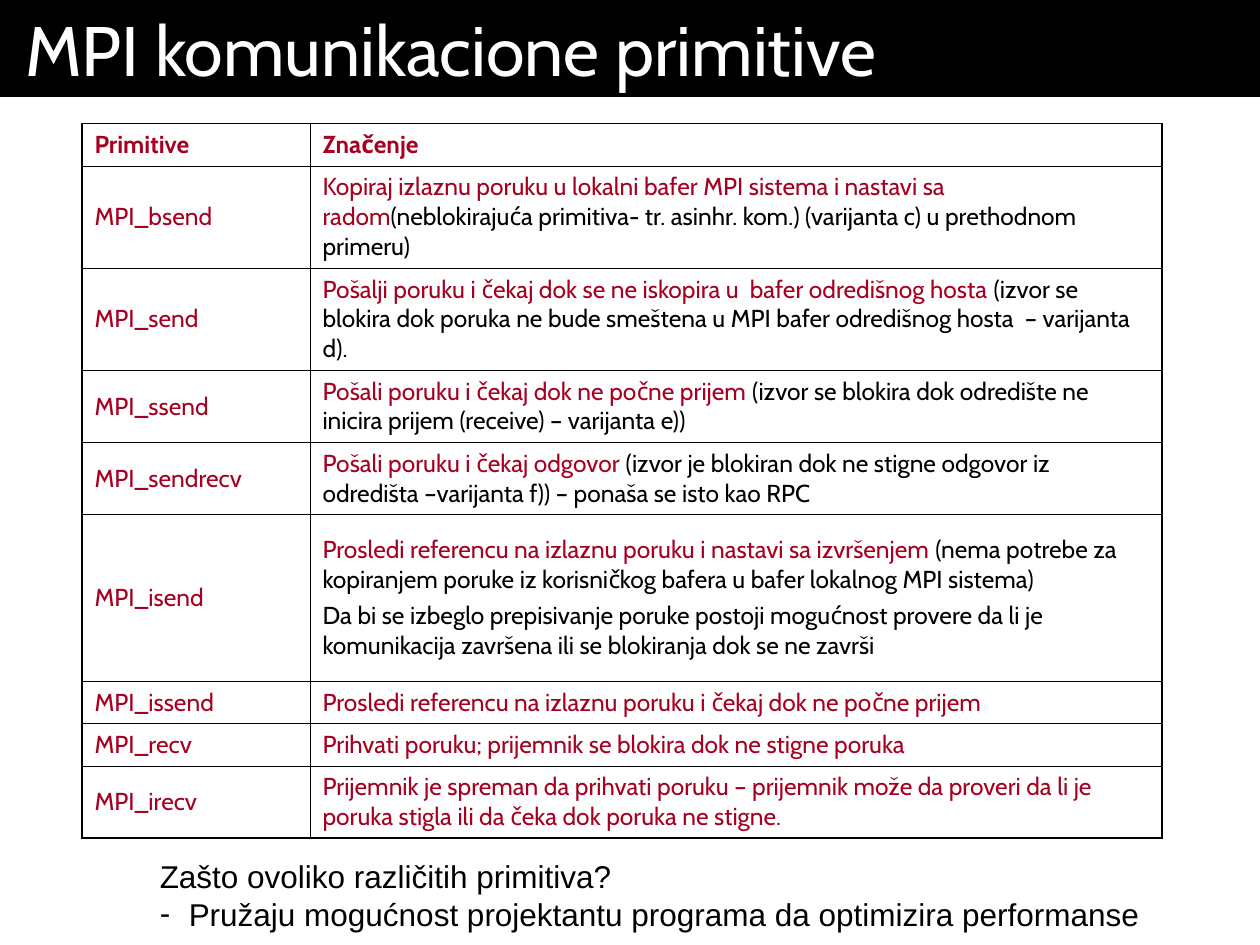
"""Builds a slide with a table of MPI communication primitives."""
from lxml.etree import SubElement
from pptx import Presentation
from pptx.dml.color import RGBColor
from pptx.enum.text import MSO_ANCHOR, PP_ALIGN
from pptx.oxml.ns import qn
from pptx.util import Inches, Pt

COLORS = {"black": "000000", "white": "FFFFFF", "red": "A50021"}
COLUMN_WIDTHS = (1.81, 6.76)
ROW_HEIGHTS = (0.33, 0.8, 0.8, 0.57, 0.57, 1.32, 0.33, 0.33, 0.57)
PRIMITIVES = [
    ("Primitive", [[("Značenje", "red")]]),
    ("MPI_bsend", [[
        ("Kopiraj izlaznu poruku u lokalni bafer MPI sistema i nastavi sa radom", "red"),
        ("(neblokirajuća primitiva- tr. asinhr. kom.) (varijanta c) u prethodnom primeru)", "black")]]),
    ("MPI_send", [[
        ("Pošalji poruku i čekaj dok se ne iskopira u  bafer odredišnog hosta ", "red"),
        ("(izvor se blokira dok poruka ne bude smeštena u MPI bafer odredišnog hosta  – varijanta d).", "black")]]),
    ("MPI_ssend", [[
        ("Pošali poruku i čekaj dok ne počne prijem ", "red"),
        ("(izvor se blokira dok odredište ne inicira prijem (receive) – varijanta e))", "black")]]),
    ("MPI_sendrecv", [[
        ("Pošali poruku i čekaj odgovor ", "red"),
        ("(izvor je blokiran dok ne stigne odgovor iz odredišta –varijanta f)) – ponaša se isto kao RPC", "black")]]),
    ("MPI_isend", [
        [("Prosledi referencu na izlaznu poruku i nastavi sa izvršenjem ", "red"),
         ("(nema potrebe za kopiranjem poruke iz korisničkog bafera u bafer lokalnog MPI sistema)", "black")],
        [("Da bi se izbeglo prepisivanje poruke postoji mogućnost provere da li je "
          "komunikacija završena ili se blokiranja dok se ne završi", "black")]]),
    ("MPI_issend", [[("Prosledi referencu na izlaznu poruku i čekaj dok ne počne prijem", "red")]]),
    ("MPI_recv", [[("Prihvati poruku; prijemnik se blokira dok ne stigne poruka", "red")]]),
    ("MPI_irecv", [[
        ("Prijemnik je spreman da prihvati poruku – prijemnik može da proveri da li je "
         "poruka stigla ili da čeka dok poruka ne stigne.", "red")]]),
]


def add_text(paragraph, text, font="Cabin", size=14, color="black", bold=False):
    """Add a formatted run to a paragraph."""
    run = paragraph.add_run()
    run.text = text
    run.font.name = font
    run.font.size = Pt(size)
    run.font.bold = bold
    run.font.color.rgb = RGBColor.from_string(COLORS[color])


def set_borders(cell, widths):
    """Draw the left, right, top and bottom borders of a cell."""
    properties = cell._tc.get_or_add_tcPr()
    for side, width in zip("LRTB", widths):
        line = SubElement(properties, qn(f"a:ln{side}"), w=str(Pt(width)))
        fill = SubElement(line, qn("a:solidFill"))
        SubElement(fill, qn("a:srgbClr"), val=COLORS["black"])


class SlideBuilder:
    """Holds the style and the current slide."""

    outer_border = 1.08
    inner_border = 0.45
    paragraph_space = Pt(3.5)

    def __init__(self, presentation):
        """Start a slide that has only a title."""
        self.slide = presentation.slides.add_slide(presentation.slide_layouts[5])

    def title(self, text, left, top, width, height):
        """Fill the title placeholder as a black banner."""
        shape = self.slide.shapes.title
        shape.left, shape.top = Inches(left), Inches(top)
        shape.width, shape.height = Inches(width), Inches(height)
        shape.fill.solid()
        shape.fill.fore_color.rgb = RGBColor.from_string(COLORS["black"])
        frame = shape.text_frame
        frame.margin_left = frame.margin_right = Inches(0.2)
        frame.vertical_anchor = MSO_ANCHOR.MIDDLE
        paragraph = frame.paragraphs[0]
        paragraph.alignment = PP_ALIGN.LEFT
        add_text(paragraph, text, size=40, color="white")

    def table(self, rows, left, top):
        """Add the two-column table of primitives."""
        shape = self.slide.shapes.add_table(
            len(rows), len(COLUMN_WIDTHS), Inches(left), Inches(top),
            Inches(sum(COLUMN_WIDTHS)), Inches(sum(ROW_HEIGHTS)))
        table = shape.table
        table.first_row = table.horz_banding = False
        for column, width in zip(table.columns, COLUMN_WIDTHS):
            column.width = Inches(width)
        for row, height in zip(table.rows, ROW_HEIGHTS):
            row.height = Inches(height)
        last_row = len(rows) - 1
        for index, (name, meaning) in enumerate(rows):
            for column, content in enumerate(([[(name, "red")]], meaning)):
                cell = table.cell(index, column)
                edges = (column == 0, column == 1, index == 0, index == last_row)
                set_borders(cell, [self.outer_border if edge else self.inner_border for edge in edges])
                self.fill_cell(cell, content, bold=index == 0)

    def fill_cell(self, cell, content, bold):
        """Write paragraphs of coloured runs into a cell."""
        cell.fill.background()
        cell.vertical_anchor = MSO_ANCHOR.MIDDLE
        frame = cell.text_frame
        for number, runs in enumerate(content):
            paragraph = frame.add_paragraph() if number else frame.paragraphs[0]
            if number:
                paragraph.space_before = self.paragraph_space
            for text, color in runs:
                add_text(paragraph, text, color=color, bold=bold)

    def question(self, question, answer, left, top, width, height):
        """Add a question with a dashed answer below it."""
        box = self.slide.shapes.add_textbox(Inches(left), Inches(top), Inches(width), Inches(height))
        frame = box.text_frame
        frame.word_wrap = True
        frame.vertical_anchor = MSO_ANCHOR.BOTTOM
        add_text(frame.paragraphs[0], question, font="Arial", size=18)
        paragraph = frame.add_paragraph()
        properties = paragraph._p.get_or_add_pPr()
        indent = Inches(0.23)
        properties.set("marL", str(indent))
        properties.set("indent", str(-indent))
        SubElement(properties, qn("a:buFont"), typeface="Arial")
        SubElement(properties, qn("a:buChar"), char="-")
        add_text(paragraph, answer, font="Arial", size=18)


def main():
    """Build and save the presentation."""
    presentation = Presentation()
    presentation.slide_width, presentation.slide_height = Inches(10), Inches(7.5)
    builder = SlideBuilder(presentation)
    builder.title("MPI komunikacione primitive", 0, 0, 10, 0.77)
    builder.table(PRIMITIVES, 0.65, 0.98)
    builder.question("Zašto ovoliko različitih primitiva?",
                     "Pružaju mogućnost projektantu programa da optimizira performanse",
                     1.17, 6.75, 8.83, 0.7)
    presentation.save("out.pptx")


if __name__ == "__main__":
    main()
